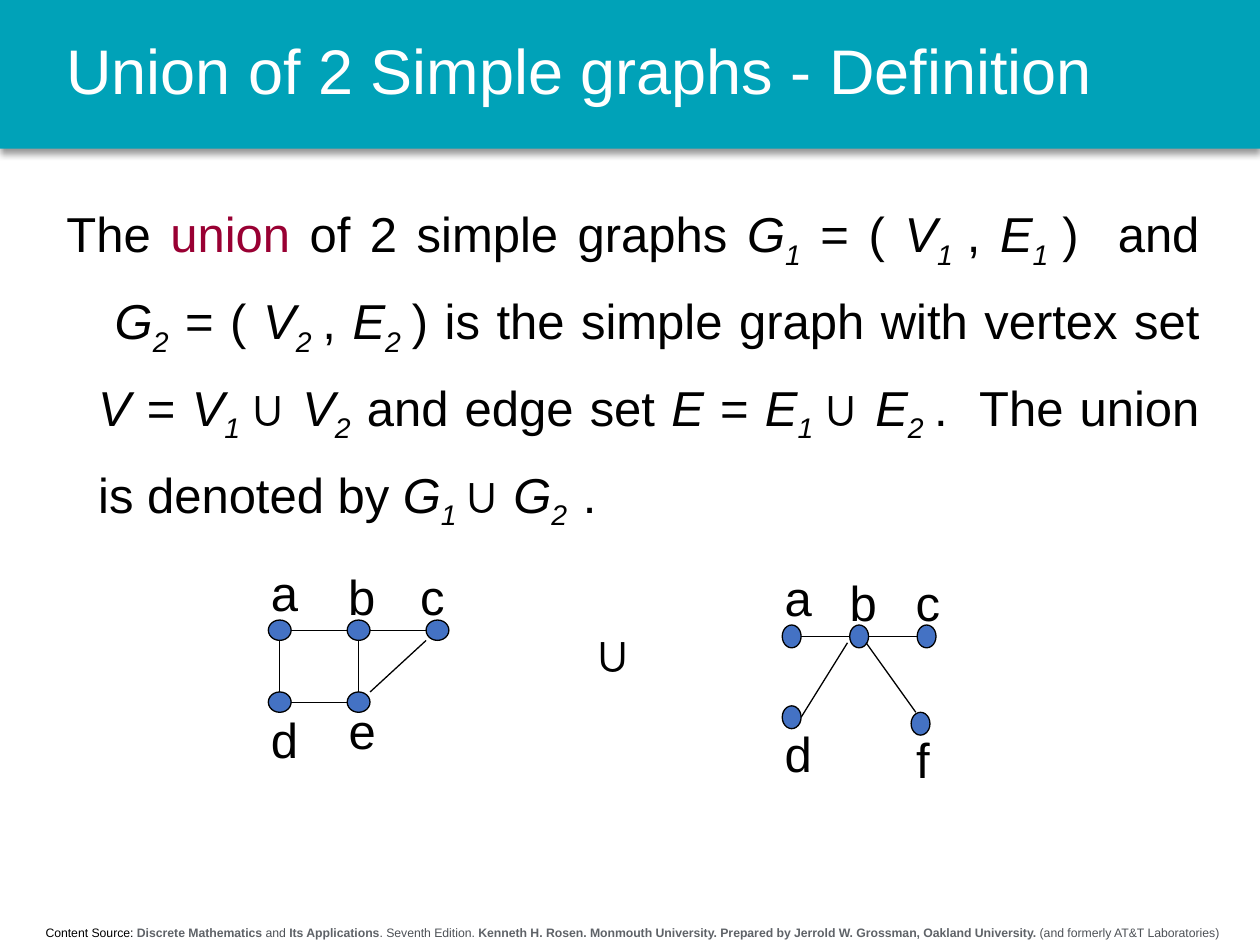
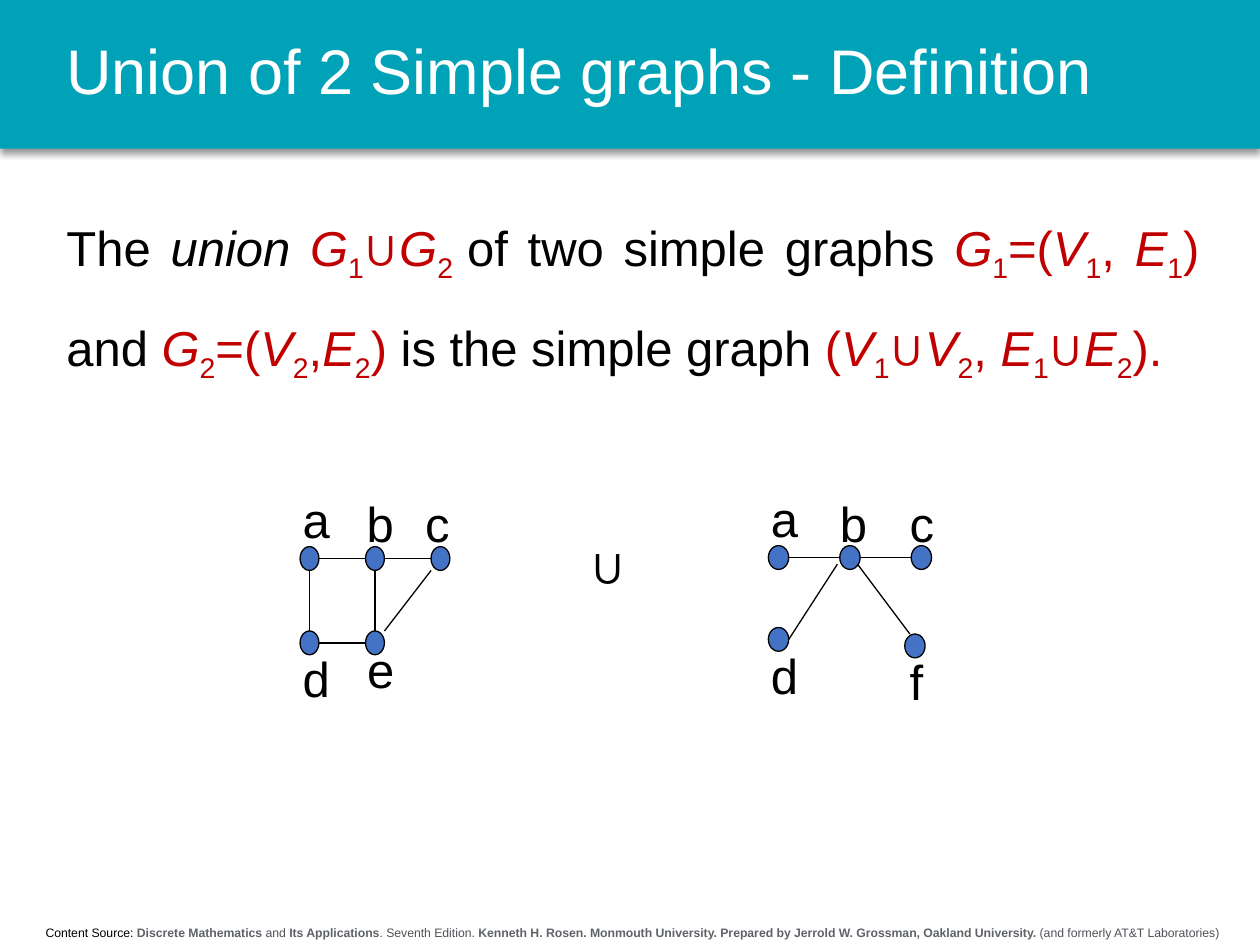
from itertools import groupby

from lxml import etree
from pptx import Presentation
from pptx import util as u
from pptx.dml import color as colors
from pptx.enum import shapes, text
from pptx.oxml import ns

TEAL, BLUE, BLACK, WHITE = "00A2B8", "4472C4", "000000", "FFFFFF"
CRIMSON, RED, GRAY, DARK_GRAY = "990033", "C00000", "5F6368", "4D5156"
MARKS = {"*": "italic", "~": "subscript", "^": "accent", "#": "bold"}


def paint(value):
    return colors.RGBColor.from_string(value)


def write(holder, words, at, size=28, color=BLACK, accent=BLACK, bold_color=BLACK,
          align=text.PP_ALIGN.LEFT, anchor=text.MSO_ANCHOR.TOP, spacing=1.0, hanging=0):
    box = holder.shapes.add_textbox(*[u.Cm(length) for length in at])
    frame = box.text_frame
    frame.word_wrap = True
    frame.vertical_anchor = anchor
    para = frame.paragraphs[0]
    para.alignment = align
    para.line_spacing = spacing
    if hanging:
        properties = para._p.get_or_add_pPr()
        properties.set("marL", str(u.Cm(hanging)))
        properties.set("indent", str(-u.Cm(hanging)))
    active = set()
    for is_mark, group in groupby(words, lambda char: char in MARKS or char == "\n"):
        piece = "".join(group)
        if is_mark:
            for mark in piece:
                if mark == "\n":
                    para.add_line_break()
                else:
                    active ^= {MARKS[mark]}
            continue
        span = para.add_run()
        span.text = piece
        font = span.font
        font.name, font.size = "Arial", u.Pt(size)
        font.italic, font.bold = "italic" in active, "bold" in active
        shade = accent if "accent" in active else bold_color if font.bold else color
        font.color.rgb = paint(shade)
        if "subscript" in active:
            span._r.get_or_add_rPr().set("baseline", "-25000")


FOOTER = ("^Content Source: ^#Discrete Mathematics# and #Its Applications#. Seventh Edition. "
          "#Kenneth H. Rosen. Monmouth University. Prepared by Jerrold W. Grossman, "
          "Oakland University.# (and formerly AT&T Laboratories)")

LEFT_GRAPH = {
    "nodes": {"a": (0, 0), "b": (1, 0), "c": (2, 0), "d": (0, 1), "e": (1, 1)},
    "labels": {"a": (-0.2, -1.28), "b": (-0.23, -1.2), "c": (-0.37, -1.2),
               "d": (-0.2, 0.22), "e": (-0.22, 0.05)},
    "edges": [("a", 1, 0.5, "b", 0, 0.5), ("a", 0.5, 1, "d", 0.5, 0),
              ("d", 1, 0.5, "e", 0, 0.5), ("b", 0.5, 1, "e", 0.5, 0),
              ("b", 1, 0.5, "c", 0, 0.5), ("e", 1, 0, "c", 0, 1)],
}
RIGHT_GRAPH = {
    "nodes": {"a": (0, 0), "b": (1, 0), "c": (2, 0), "d": (0, 1), "f": (1.91, 1.08)},
    "labels": {"a": (-0.2, -1.28), "b": (-0.25, -1.18), "c": (-0.28, -1.18),
               "d": (-0.2, 0.23), "f": (-0.15, 0.23)},
    "edges": [("a", 1, 0.5, "b", 0, 0.5), ("d", 1, 0.5, "b", -0.12, 0.78),
              ("b", 1, 0.5, "c", 0, 0.5), ("b", 0.87, 0.78, "f", 0.25, 0)],
}

PAGES = [
    {
        "body": "The ^union^ of 2 simple graphs *G~1~* = ( *V~1 ~*,* E~1 ~*)  and\n "
                "*G~2~* = ( *V~2 ~*,* E~2 ~*) is the simple graph with vertex set "
                "*V* = *V~1 ~*∪ *V~2~* and edge set *E* = *E~1 ~*∪ *E~2 ~*.  "
                "The union is denoted by *G~1 ~*∪ *G~2  ~*.",
        "format": {"accent": CRIMSON, "spacing": 1.3, "hanging": 0.64},
        "union_at": (11.76, 12.45),
        "graphs": [(LEFT_GRAPH, 5.41, 12.5, 0.46, 0.41, 1.59, 1.45),
                   (RIGHT_GRAPH, 15.77, 12.6, 0.38, 0.46, 1.36, 1.63)],
    },
    {
        "body": "The *union ^G*~1~∪*G*~2 ~^of two simple graphs ^*G*~1~=(*V*~1~, *E*~1~) ^"
                "and ^*G*~2~=(*V*~2~,*E*~2~) ^is the simple graph "
                "^(*V*~1~∪*V*~2~, *E*~1~∪*E*~2~).^",
        "format": {"accent": RED, "spacing": 1.5},
        "union_at": (11.66, 10.67),
        "graphs": [(LEFT_GRAPH, 6.05, 11.02, 0.38, 0.48, 1.32, 1.7),
                   (RIGHT_GRAPH, 15.49, 11, 0.41, 0.48, 1.44, 1.65)],
    },
]

deck = Presentation()
deck.slide_width, deck.slide_height = u.Cm(25.4), u.Cm(19.05)

for content in PAGES:
    page = deck.slides.add_slide(deck.slide_layouts[6])

    band = page.shapes.add_shape(shapes.MSO_SHAPE.RECTANGLE, 0, 0, deck.slide_width, u.Cm(3))
    band.fill.solid()
    band.fill.fore_color.rgb = paint(TEAL)
    band.line.fill.background()
    band.shadow.inherit = False
    effects = band._element.spPr.find(ns.qn("a:effectLst"))
    shadow = etree.SubElement(effects, ns.qn("a:outerShdw"), blurRad=str(u.Pt(4)),
                              dist=str(u.Pt(3)), dir="5400000", algn="t", rotWithShape="0")
    shade = etree.SubElement(shadow, ns.qn("a:srgbClr"), val=BLACK)
    etree.SubElement(shade, ns.qn("a:alpha"), val="40000")

    write(page, FOOTER, (0.1, 18.52, 25.3, 0.56), size=7, color=DARK_GRAY,
          bold_color=GRAY, align=text.PP_ALIGN.CENTER)
    write(page, "Union of 2 Simple graphs - Definition", (1.09, 0, 23.62, 3), size=36,
          color=WHITE, anchor=text.MSO_ANCHOR.MIDDLE, spacing=0.9)
    write(page, content["body"], (1.09, 3.58, 23.34, 6.25),
          align=text.PP_ALIGN.JUSTIFY, **content["format"])

    for graph, left, top, width, height, step_x, step_y in content["graphs"]:
        group = page.shapes.add_group_shape()
        corners = {name: (left + column * step_x, top + row * step_y)
                   for name, (column, row) in graph["nodes"].items()}
        for name, (x, y) in corners.items():
            node = group.shapes.add_shape(shapes.MSO_SHAPE.OVAL, u.Cm(x), u.Cm(y),
                                          u.Cm(width), u.Cm(height))
            node.shadow.inherit = False
            node.fill.solid()
            node.fill.fore_color.rgb = paint(BLUE)
            node.line.color.rgb = paint(BLACK)
            node.line.width = u.Pt(0.75)
            shift_x, shift_y = graph["labels"][name]
            write(group, name, (x + shift_x, y + shift_y, 1.4, 1.45))
        for start, start_x, start_y, end, end_x, end_y in graph["edges"]:
            edge = group.shapes.add_connector(
                shapes.MSO_CONNECTOR.STRAIGHT,
                u.Cm(corners[start][0] + start_x * width),
                u.Cm(corners[start][1] + start_y * height),
                u.Cm(corners[end][0] + end_x * width),
                u.Cm(corners[end][1] + end_y * height))
            edge.line.color.rgb = paint(BLACK)
            edge.line.width = u.Pt(0.75)
            etree.SubElement(edge._element.spPr, ns.qn("a:effectLst"))

    write(page, "#∪#", (*content["union_at"], 1.4, 1.45))

deck.save("out.pptx")
